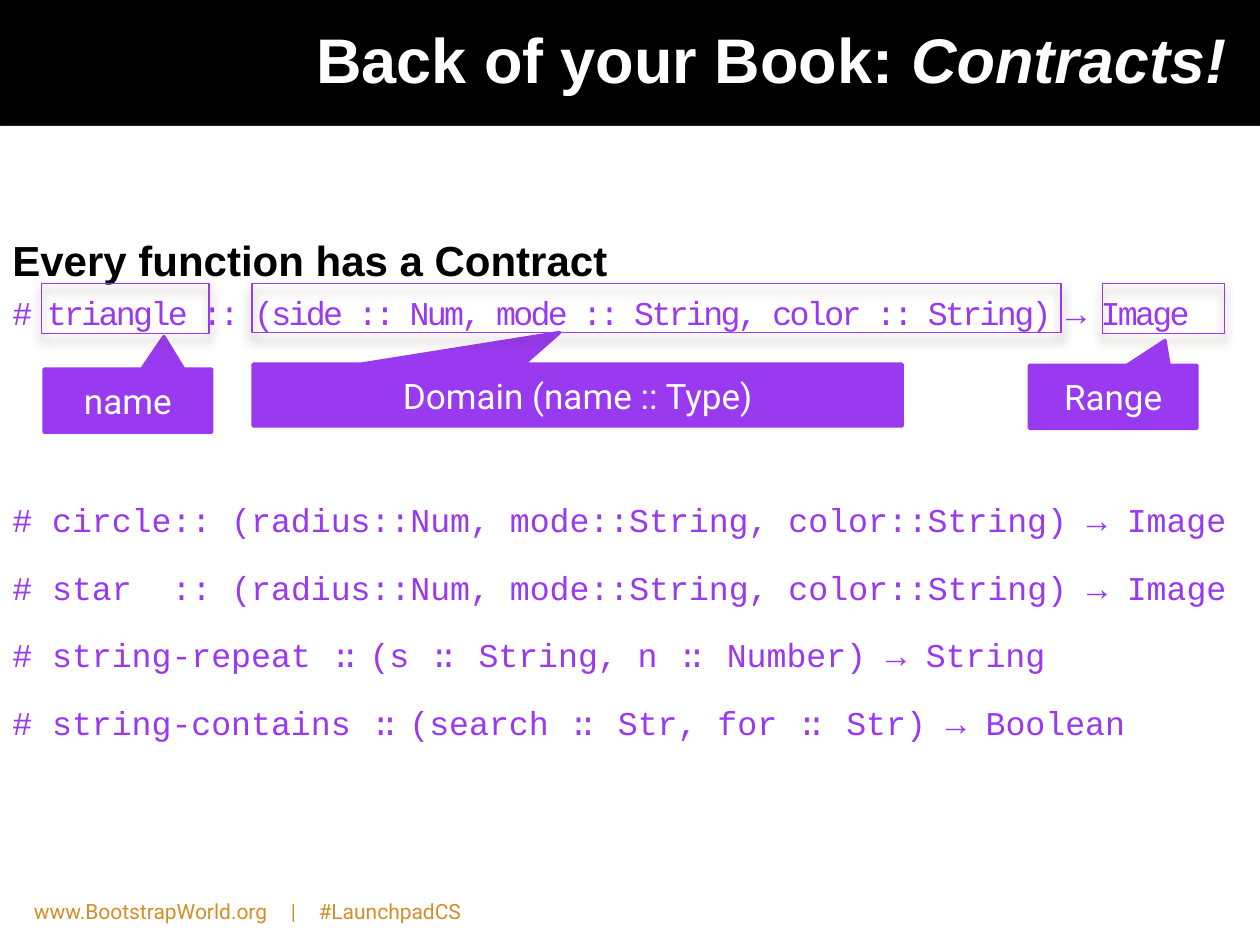
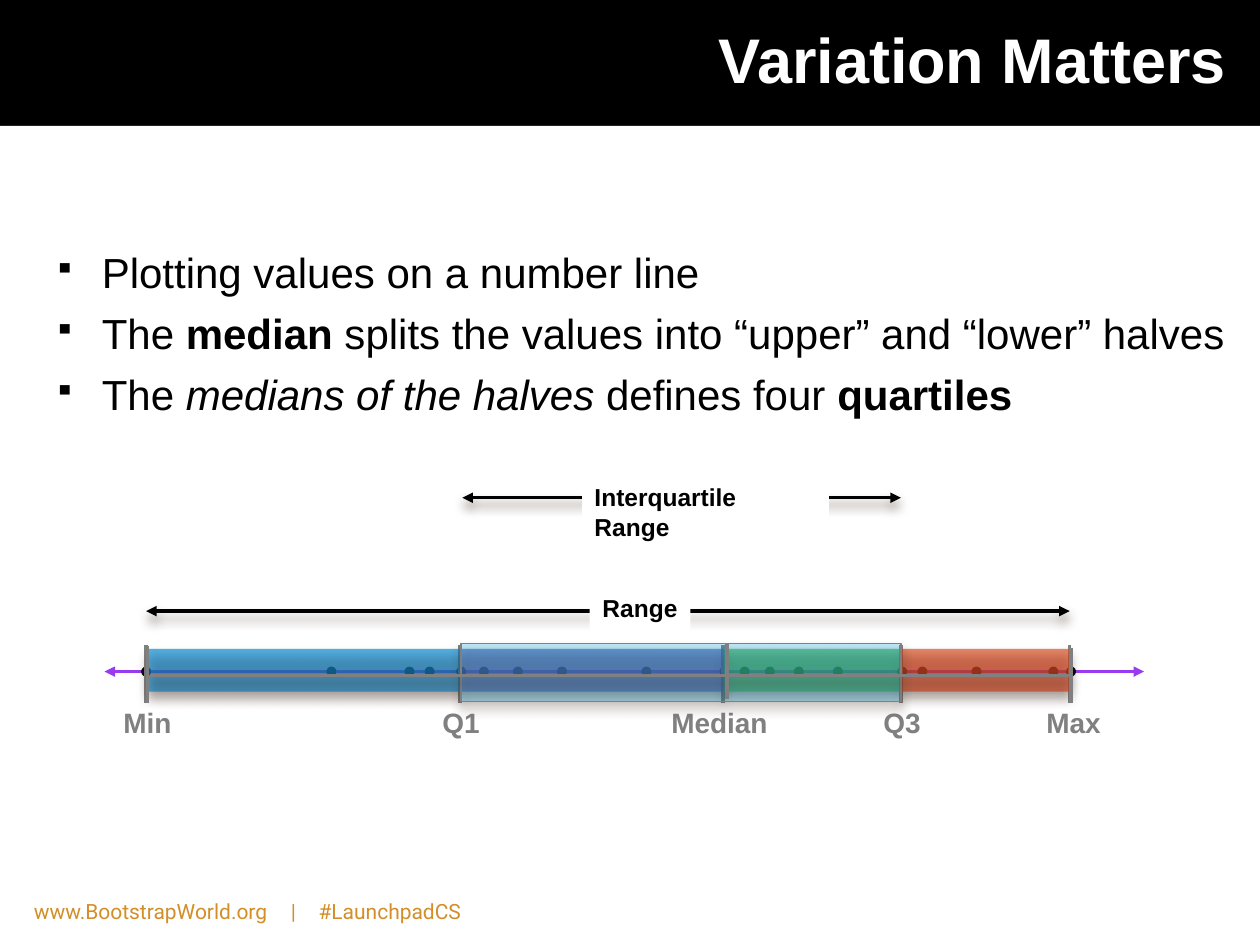
"""Builds two lesson slides: function contracts and quartiles on a number line."""
from lxml import etree
from pptx import Presentation
from pptx import util as u
from pptx.dml.color import RGBColor
from pptx.enum import shapes, text
from pptx.oxml import ns

PX = 9144
BLACK = RGBColor(0, 0, 0)
WHITE = RGBColor(255, 255, 255)
GRAY = RGBColor(0x80, 0x80, 0x80)
PURPLE = RGBColor(0x99, 0x39, 0xF0)
GOLD = RGBColor(0xD3, 0x8E, 0x27)
SKY = RGBColor(0x00, 0xB0, 0xF0)
LIME = RGBColor(0x92, 0xD0, 0x50)
RED = RGBColor(0xFF, 0, 0)
GREEN = RGBColor(0x00, 0xB0, 0x50)
BLUE = RGBColor(0x00, 0x70, 0xC0)
VIOLET = RGBColor(0x70, 0x30, 0xA0)
SHADE = RGBColor(0x4E, 0x3B, 0x30)

SANS, CODE, ROBOTO = "Arial", "Courier New", "Roboto"
RECT = shapes.MSO_SHAPE.RECTANGLE
OVAL = shapes.MSO_SHAPE.OVAL
CALLOUT = shapes.MSO_SHAPE.RECTANGULAR_CALLOUT
LEFT, CENTER, RIGHT = text.PP_ALIGN.LEFT, text.PP_ALIGN.CENTER, text.PP_ALIGN.RIGHT
TOP, MIDDLE = text.MSO_ANCHOR.TOP, text.MSO_ANCHOR.MIDDLE
BOLD, ITALIC = {"bold": True}, {"italic": True}
TIGHT = {"spacing": -6}


def child(parent, tag, **attributes):
    element = etree.SubElement(parent, ns.qn(f"a:{tag}"))
    for key, value in attributes.items():
        element.set(key, str(value))
    return element


class Lesson:
    def __init__(self):
        self.deck = Presentation()
        self.deck.slide_width = 1000 * PX
        self.deck.slide_height = 750 * PX
        self.page = None

    def start(self, *title):
        self.page = self.deck.slides.add_slide(self.deck.slide_layouts[6])
        self.page.background.fill.solid()
        self.page.background.fill.fore_color.rgb = BLACK
        self.shape(RECT, (0, 100, 1000, 650), WHITE, shadow=True)
        box = self.text_box((33, 0, 950, 92), MIDDLE)
        self.paragraph(box, title, 36, WHITE, align=RIGHT, bold=True)
        footer = self.text_box((17, 708, 408, 27))
        self.paragraph(footer, [("www.BootstrapWorld.org\t|\t#LaunchpadCS", {})],
                       12, GOLD, ROBOTO, tabs=(204, 226))

    def effects(self, shape, shadow):
        effects = child(shape._element.spPr, "effectLst")
        if shadow:
            outer = child(effects, "outerShdw", blurRad=u.Pt(6), dist=u.Pt(4),
                          dir=90 * 60000, algn="ctr", rotWithShape=0)
            child(child(outer, "srgbClr", val=SHADE), "alpha", val=60000)

    def shape(self, kind, area, fill=None, line=None, width=0.79, alpha=None, shadow=False):
        shape = self.page.shapes.add_shape(kind, *(value * PX for value in area))
        if fill is None:
            shape.fill.background()
        else:
            shape.fill.solid()
            shape.fill.fore_color.rgb = fill
            if alpha:
                color = shape._element.spPr.find(".//" + ns.qn("a:srgbClr"))
                child(color, "alpha", val=alpha * 1000)
        if line is None:
            shape.line.fill.background()
        else:
            shape.line.color.rgb = line
            shape.line.width = u.Pt(width)
        self.effects(shape, shadow)
        return shape

    def line(self, start, end, color, arrows=False, shadow=False):
        points = (value * PX for value in (*start, *end))
        line = self.page.shapes.add_connector(shapes.MSO_CONNECTOR.STRAIGHT, *points)
        line.line.color.rgb = color
        line.line.width = u.Pt(2)
        if arrows:
            outline = line.line._get_or_add_ln()
            child(outline, "headEnd", type="triangle")
            child(outline, "tailEnd", type="triangle")
        self.effects(line, shadow)

    def text_box(self, area, anchor=TOP):
        box = self.page.shapes.add_textbox(*(value * PX for value in area))
        box.text_frame.word_wrap = True
        box.text_frame.vertical_anchor = anchor
        return box

    def paragraph(self, box, spans, size, color, font=SANS, align=LEFT, bold=False,
                  before=0, leading=None, tabs=(), bullet=None):
        frame = box.text_frame
        para = frame.paragraphs[0]
        if para.runs:
            para = frame.add_paragraph()
            para.space_before = u.Pt(before)
        properties = para._p.get_or_add_pPr()
        if bullet:
            properties.set("marL", str(38 * PX))
            properties.set("indent", str(-38 * PX))
            child(child(properties, "buClr"), "srgbClr", val=BLACK)
            child(properties, "buSzPct", val=70000)
            child(properties, "buChar", char=bullet)
        if tabs:
            stops = child(properties, "tabLst")
            for position in tabs:
                child(stops, "tab", pos=position * PX, algn="l")
        para.alignment = align
        if leading:
            para.line_spacing = leading
        para.font.name = font
        para.font.size = u.Pt(size)
        para.font.bold = bold
        para.font.color.rgb = color
        for words, style in spans:
            span = para.add_run()
            span.text = words
            if "bold" in style:
                span.font.bold = True
            if "italic" in style:
                span.font.italic = True
            if "spacing" in style:
                span._r.get_or_add_rPr().set("spc", str(int(style["spacing"] * 100)))

    def callout(self, area, tip, words):
        box = self.shape(CALLOUT, area, PURPLE, PURPLE, 2)
        box.adjustments[0], box.adjustments[1] = tip
        box.text_frame.word_wrap = True
        box.text_frame.vertical_anchor = MIDDLE
        self.paragraph(box, [(words, {})], 20, WHITE, ROBOTO, CENTER)

    def frame(self, area):
        self.shape(RECT, area, line=PURPLE, shadow=True)

    def label(self, center, top, words):
        box = self.text_box((center - 60, top, 120, 37))
        self.paragraph(box, [(words, {})], 16, GRAY, align=CENTER, bold=True)

    def span_arrow(self, left, right, y, plate, words, align):
        self.line((left, y), (right, y), BLACK, arrows=True, shadow=True)
        box = self.shape(RECT, plate, WHITE)
        box.text_frame.word_wrap = True
        box.text_frame.vertical_anchor = TOP
        if align == CENTER:
            box.text_frame.margin_left = box.text_frame.margin_right = 0
        self.paragraph(box, [(words, {})], 14, BLACK, align=align, bold=True)


def contracts(lesson):
    lesson.start(("Back of your Book: ", {}), ("Contracts!", ITALIC))
    body = lesson.text_box((0, 181, 1000, 255))
    lesson.paragraph(body, [("Every function has a Contract", {})], 24, BLACK, bold=True)
    triangle = "# triangle :: (side :: Num, mode :: String, color :: String) → Image"
    lesson.paragraph(body, [(triangle, {"spacing": -1.5})], 19, PURPLE, CODE, before=4.5)
    arguments = ":: (radius::Num, mode::String, color::String) → Image"
    examples = [
        [("# circle" + arguments, {})],
        [("# star", {}), (" ", {"spacing": 11.4}), (arguments, {})],
        [("# string-repeat ", {}), (":: ", TIGHT), ("(s ", {}), ("::", TIGHT),
         (" String, n ", {}), ("::", TIGHT), (" Number) → String", {})],
        [("# string-contains ", {}), (":: ", TIGHT), ("(search ", {}), ("::", TIGHT),
         (" Str, for ", {}), ("::", TIGHT), (" Str) → Boolean", {})],
    ]
    for number, spans in enumerate(examples):
        lesson.paragraph(body, spans, 19, PURPLE, CODE, leading=1.5,
                         before=4.5 if number else 84)

    lesson.callout((35, 293, 133, 50), (0.215, -1.016), "name")
    lesson.frame((33, 225, 133, 40))
    lesson.callout((201, 289, 515, 49), (-0.028, -1.012), "Domain (name :: Type)")
    lesson.frame((200, 225, 642, 39))
    lesson.frame((875, 225, 97, 40))
    lesson.callout((817, 290, 133, 50), (0.309, -0.893), "Range")


def variation(lesson):
    lesson.start(("Variation Matters", {}))
    body = lesson.text_box((33, 191, 950, 495))
    points = [
        [("Plotting values on a number line", {})],
        [("The ", {}), ("median", BOLD),
         (" splits the values into “upper” and “lower” halves", {})],
        [("The ", {}), ("medians of the halves ", ITALIC), ("defines four ", {}),
         ("quartiles", BOLD)],
    ]
    for spans in points:
        lesson.paragraph(body, spans, 24, BLACK, before=6, bullet="▪")

    lesson.line((83, 533), (908, 533), PURPLE, arrows=True)
    dots = (112, 259, 321, 337, 362, 380, 407, 442, 509, 571, 587, 607, 630, 661,
            712, 728, 771, 832, 846)
    for left in dots:
        lesson.shape(OVAL, (left, 529, 8, 8), BLACK)

    marks = ((116, 117, "Min"), (849, 852, "Max"), (574, 571, "Median"),
             (365, 366, "Q1"), (715, 716, "Q3"))
    for x, center, words in marks:
        lesson.line((x, 512), (x, 558), GRAY)
        lesson.label(center, 555, words)

    bars = ((116, 460, SKY), (574, 275, LIME), (715, 135, RED), (574, 141, GREEN),
            (118, 248, BLUE), (366, 209, VIOLET))
    for left, width, color in bars:
        lesson.shape(RECT, (left, 515, width, 34), color, alpha=42, shadow=True)

    lesson.span_arrow(367, 715, 395, (462, 378, 196, 34), "Interquartile Range", LEFT)
    lesson.shape(RECT, (366, 511, 349, 46), SKY, GRAY, alpha=24, shadow=True)
    lesson.line((849, 536), (119, 536), GRAY, shadow=True)
    for x, top, bottom in ((117, 513, 558), (850, 514, 558), (577, 511, 555)):
        lesson.line((x, top), (x, bottom), GRAY)
    lesson.span_arrow(116, 849, 485, (468, 466, 80, 34), "Range", CENTER)


def main():
    lesson = Lesson()
    contracts(lesson)
    variation(lesson)
    lesson.deck.save("out.pptx")


if __name__ == "__main__":
    main()
